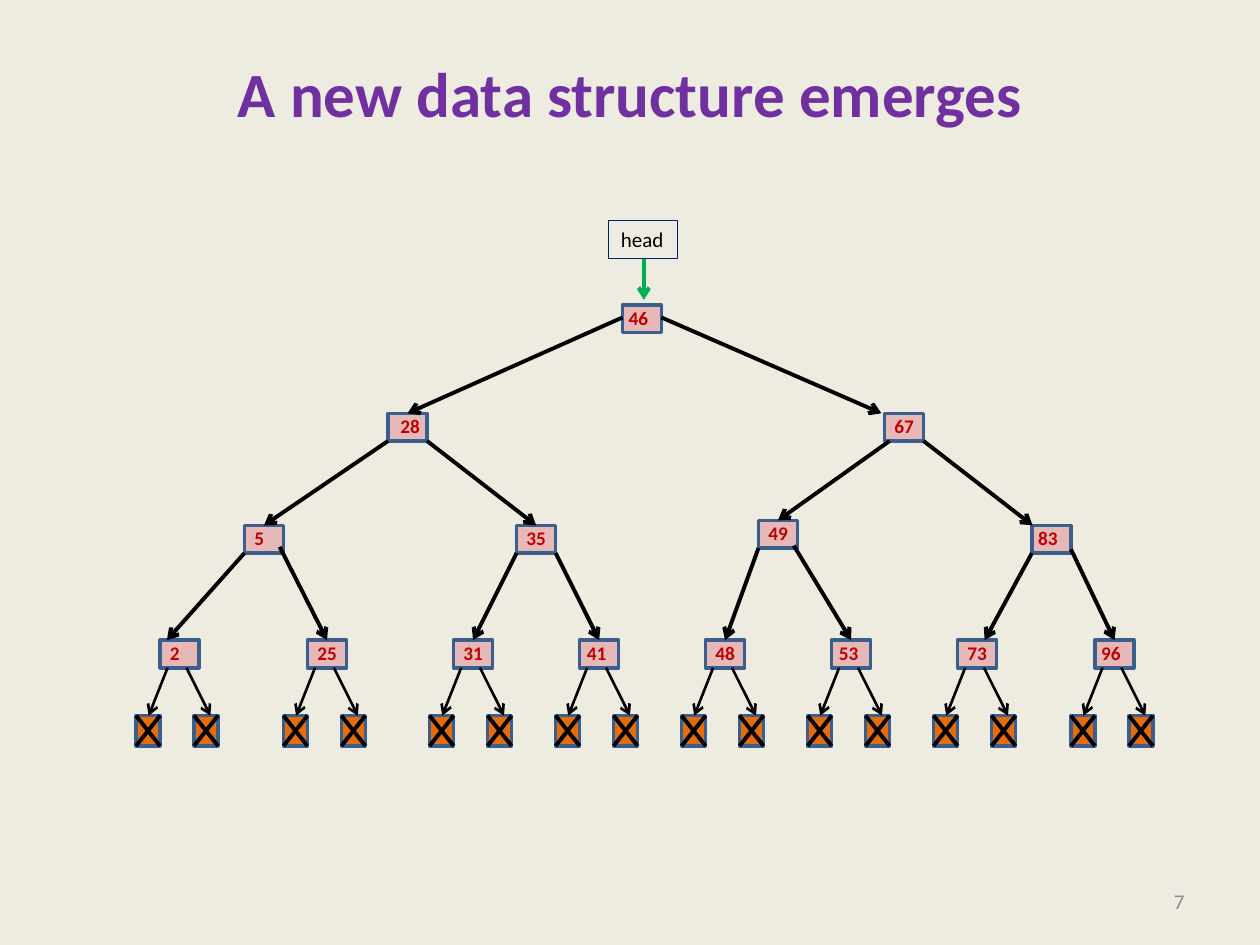
from lxml import etree
from pptx import Presentation
from pptx import util as u
from pptx.dml.color import RGBColor
from pptx.enum import shapes, text
from pptx.oxml.ns import qn

COLORS = dict(paper="EEECE1", title="7030A0", number="8C8C8C", node="E6B9B8",
              border="3A5F8C", null="E46C0A", ink="000000", key="C00000",
              head="002060", green="00B050")
FONT = "Calibri"

# key: (left, top, label offset)
NODES = {
    46: (4.94, 2.42, -0.05),
    28: (3.08, 3.28, 0), 67: (7.02, 3.28, -0.02),
    5: (1.94, 4.17, -0.02), 35: (4.1, 4.17, -0.02),
    49: (6.02, 4.13, -0.02), 83: (8.19, 4.17, -0.05),
    2: (1.27, 5.08, -0.02), 25: (2.44, 5.08, -0.02),
    31: (3.6, 5.08, -0.02), 41: (4.6, 5.08, -0.04),
    48: (5.6, 5.08, -0.02), 53: (6.6, 5.08, -0.04),
    73: (7.6, 5.08, -0.02), 96: (8.69, 5.08, -0.05),
}
CHILDREN = {46: (28, 67), 28: (5, 35), 67: (49, 83), 5: (2, 25),
            35: (31, 41), 49: (48, 53), 83: (73, 96)}
# (parent, child): shift of start x, start y, end x
NUDGES = {(46, 28): (0, -0.12, 0), (46, 67): (0, -0.12, -0.18),
          (67, 49): (0.04, 0, 0), (67, 83): (0, 0, -0.15),
          (5, 2): (0, 0, -0.1), (5, 25): (-0.03, -0.05, 0),
          (49, 53): (-0.03, -0.02, 0), (83, 73): (0, 0, 0.06),
          (83, 96): (0, -0.03, 0)}
NODE_W, NODE_H = 0.31, 0.22
NULL_W, NULL_H, NULL_TOP = 0.19, 0.24, 5.68
# null box left, arrow start and arrow end, from the left of the leaf node
NULLS = [(-0.19, 0.06, -0.09), (0.27, 0.21, 0.4)]


def rgb(name):
    return RGBColor.from_string(COLORS[name])


def inches(*values):
    return [u.Inches(v) for v in values]


def write(shape, words, size, color, bold=False, align=text.PP_ALIGN.LEFT,
          anchor=text.MSO_ANCHOR.TOP, wrap=True):
    tf = shape.text_frame
    tf.text = words
    tf.word_wrap = wrap
    tf.vertical_anchor = anchor
    p = tf.paragraphs[0]
    p.alignment = align
    p.font.name, p.font.size, p.font.bold = FONT, u.Pt(size), bold
    p.font.color.rgb = rgb(color)
    return tf


def box(x, y, w, h, fill, line, width):
    sp = s.shapes.add_shape(shapes.MSO_SHAPE.RECTANGLE, *inches(x, y, w, h))
    sp.shadow.inherit = False
    if fill:
        sp.fill.solid()
        sp.fill.fore_color.rgb = rgb(fill)
    else:
        sp.fill.background()
    sp.line.color.rgb = rgb(line)
    sp.line.width = u.Pt(width)
    return sp


def line(x1, y1, x2, y2, color="ink", width=2.25, arrow=True):
    c = s.shapes.add_connector(shapes.MSO_CONNECTOR.STRAIGHT, *inches(x1, y1, x2, y2))
    c.line.color.rgb = rgb(color)
    c.line.width = u.Pt(width)
    if arrow:
        etree.SubElement(c.line._get_or_add_ln(), qn("a:tailEnd"), type="arrow")
    etree.SubElement(c._element.spPr, qn("a:effectLst"))


prs = Presentation()
prs.slide_width, prs.slide_height = inches(10, 7.5)
s = prs.slides.add_slide(prs.slide_layouts[5])
s.background.fill.solid()
s.background.fill.fore_color.rgb = rgb("paper")

# Title and slide number
title = s.shapes.title
title.left, title.top, title.width, title.height = inches(0.5, 0.3, 9, 1.25)
tf = write(title, "A new data structure emerges", 36, "title", True,
           text.PP_ALIGN.CENTER, text.MSO_ANCHOR.MIDDLE)
tf.margin_bottom = u.Inches(0.43)
number = s.shapes.add_textbox(*inches(7.17, 6.95, 2.33, 0.4))
write(number, "7", 12, "number", align=text.PP_ALIGN.RIGHT,
      anchor=text.MSO_ANCHOR.MIDDLE)

# Node boxes
for x, y, _ in NODES.values():
    box(x, y, NODE_W, NODE_H, "node", "border", 2)

# Crossed null boxes under each leaf
for key in NODES:
    if key in CHILDREN:
        continue
    x, y, _ = NODES[key]
    for left, start, end in NULLS:
        x1, x2 = x + left, x + left + NULL_W
        y1, y2 = NULL_TOP, NULL_TOP + NULL_H
        box(x1, y1, NULL_W, NULL_H, "null", "border", 2)
        line(x2, y1, x1, y2, arrow=False)
        line(x1, y1, x2, y2, arrow=False)
        line(x + start, y + NODE_H, x + end, NULL_TOP, width=1.5)

# Arrows from parent to child
for parent, pair in CHILDREN.items():
    x, y, _ = NODES[parent]
    for side, child in enumerate(pair):
        cx, cy, _ = NODES[child]
        dx, dy, ex = NUDGES.get((parent, child), (0, 0, 0))
        line(x + side * NODE_W + dx, y + NODE_H + dy, cx + NODE_W / 2 + ex, cy)

# Head pointer
line(5.11, 2.05, 5.11, 2.38, "green")
write(box(4.83, 1.75, 0.55, 0.3, None, "head", 0.75), "head", 12, "ink")

# Keys
for key, (x, y, dx) in NODES.items():
    width = 0.28 if key < 10 else 0.36
    label = s.shapes.add_textbox(*inches(x + dx, y - 0.04, width, 0.29))
    write(label, str(key), 11, "key", True, wrap=False)

prs.save("out.pptx")
